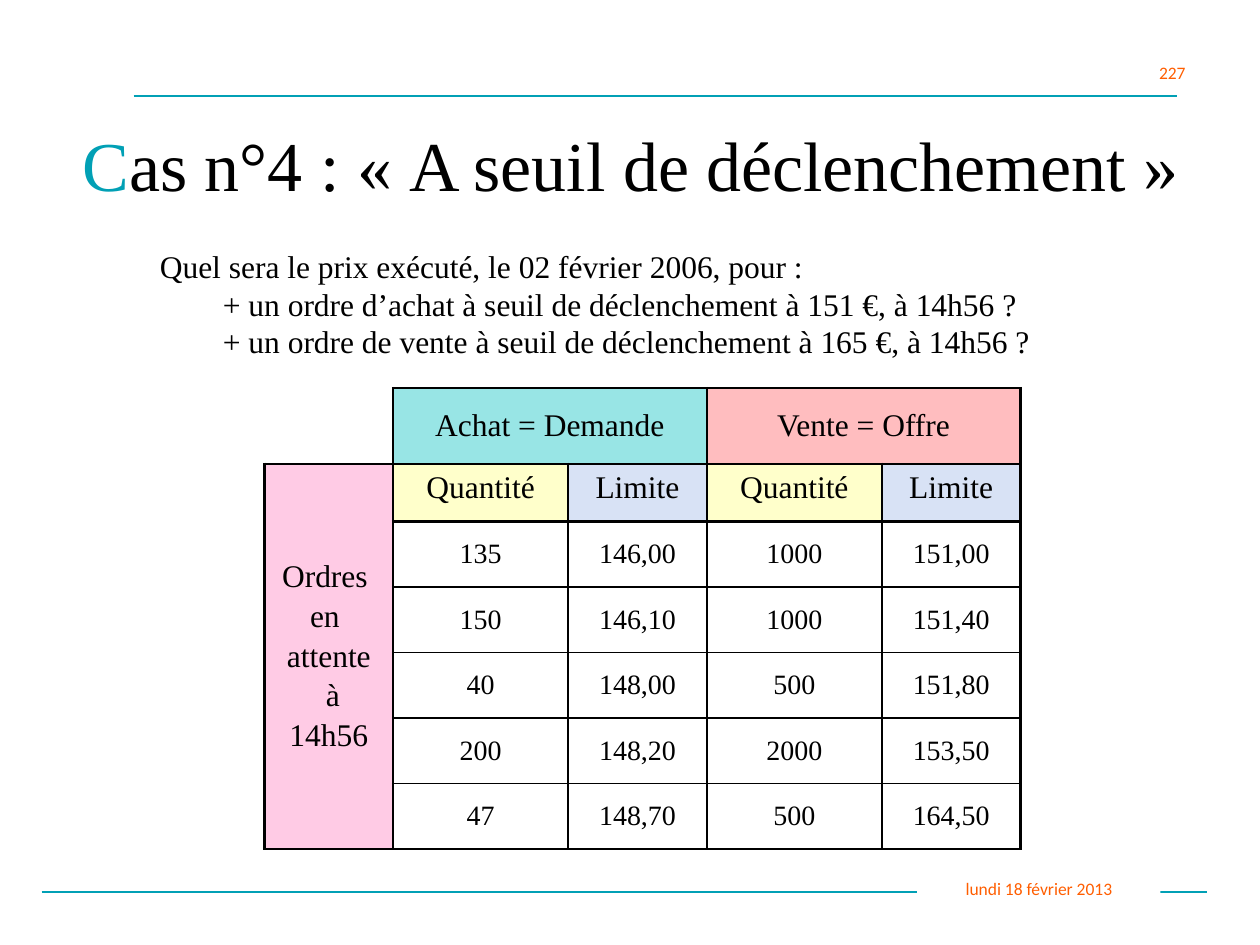
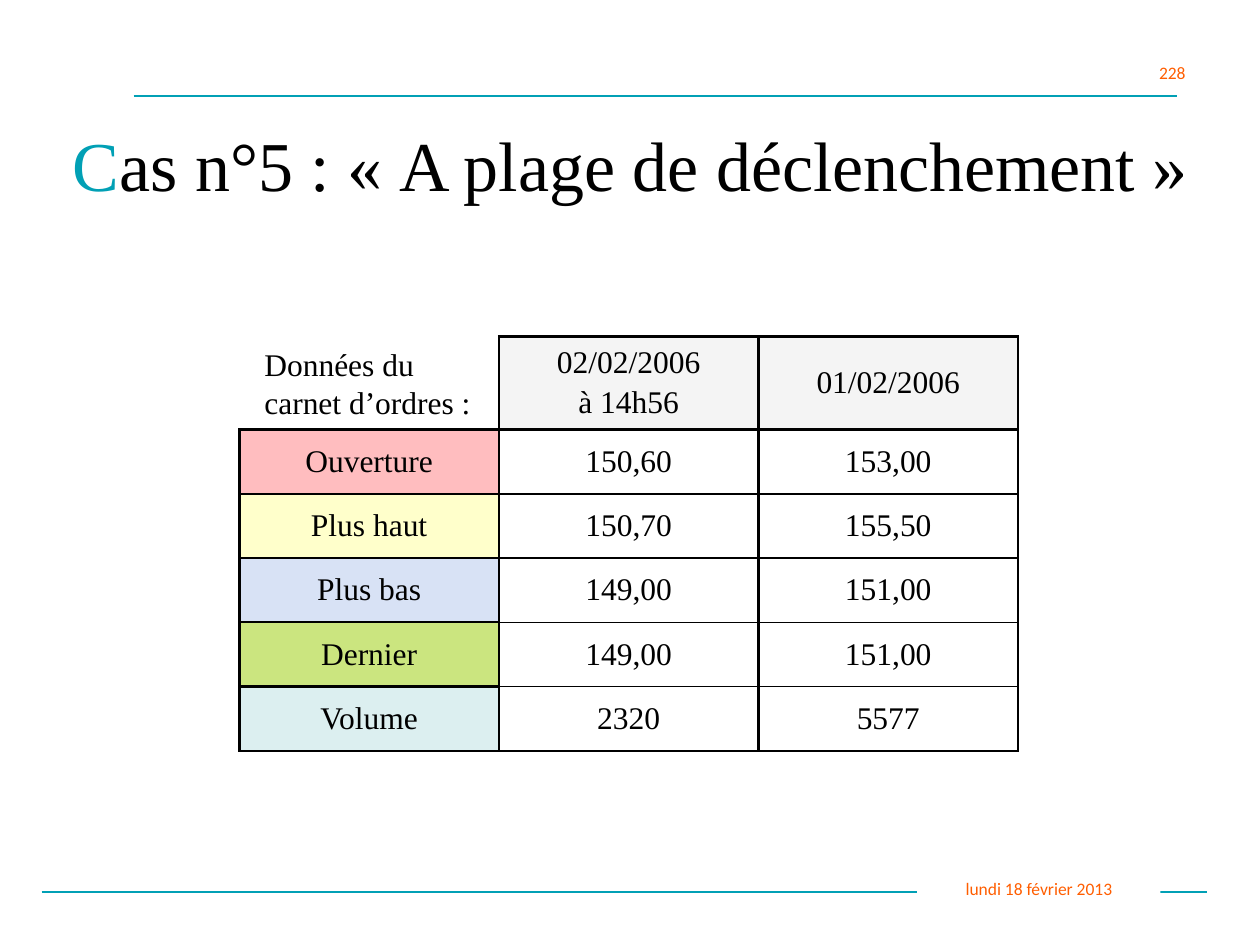
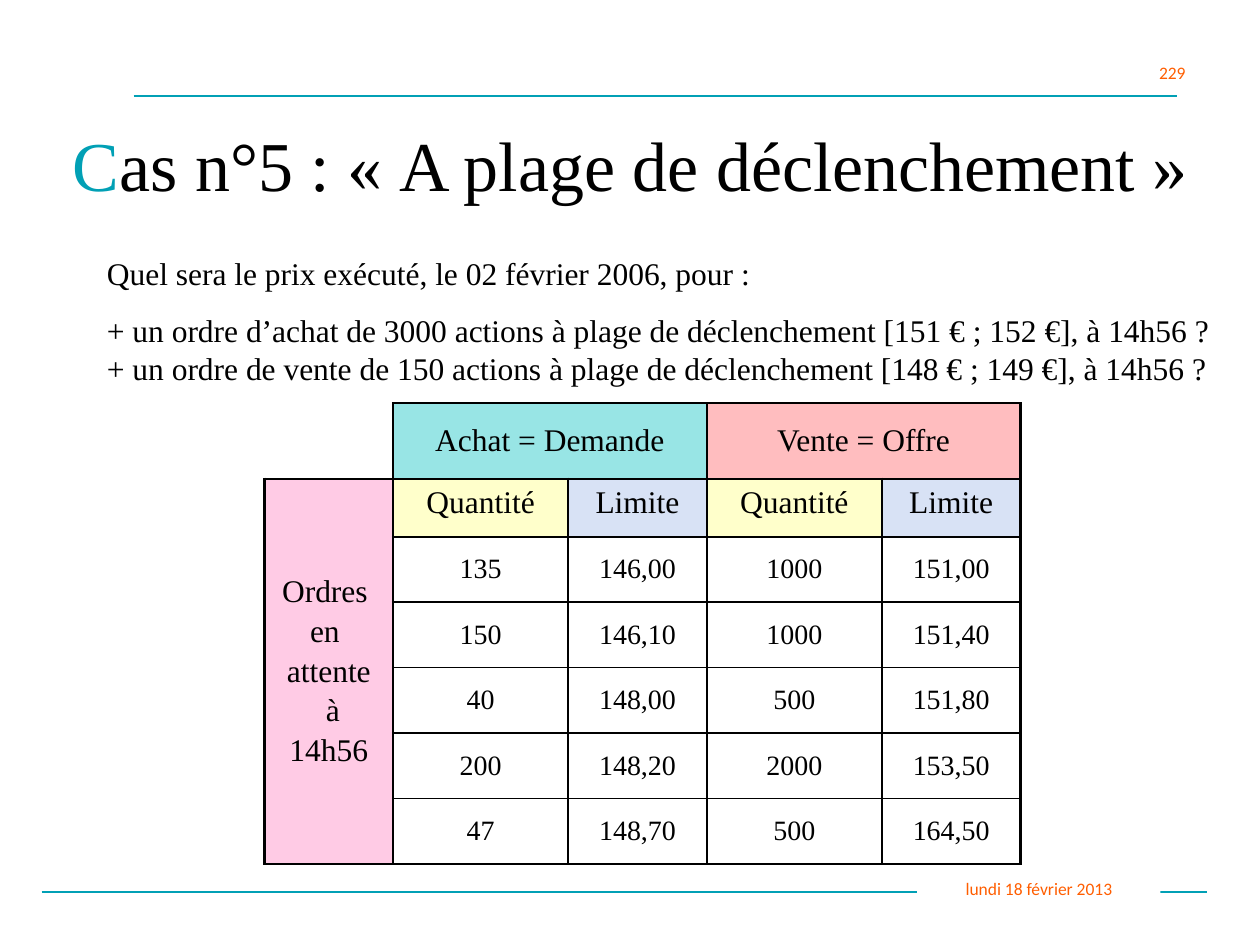
from lxml.etree import SubElement
from pptx import Presentation
from pptx.dml.color import RGBColor
from pptx.enum.shapes import MSO_CONNECTOR, MSO_SHAPE
from pptx.enum.text import MSO_ANCHOR as ANCHOR, PP_ALIGN as ALIGN
from pptx.oxml.ns import qn
from pptx.util import Emu, Pt

PX = 9144
TEAL = RGBColor(0x01, 0xA0, 0xB5)
ORANGE = RGBColor(0xFF, 0x5E, 0x00)
BLACK = RGBColor(0x00, 0x00, 0x00)
WHITE = RGBColor(0xFF, 0xFF, 0xFF)
TURQUOISE = RGBColor(0x33, 0xCC, 0xCC)
CORAL = RGBColor(0xFF, 0x7C, 0x80)
PINK = RGBColor(0xFF, 0x99, 0xCC)
YELLOW = RGBColor(0xFF, 0xFF, 0x99)
BLUE = RGBColor(0xB2, 0xC7, 0xEC)
GREY = RGBColor(0xEA, 0xEA, 0xEA)
GREEN = RGBColor(0x99, 0xCC, 0x00)
AQUA = RGBColor(0xBB, 0xE0, 0xE3)
SERIF = "Times New Roman"
SANS = "Calibri"
THICK, THIN, NONE = 1.5, 1, 0

DATE = "lundi 18 février 2013"
TRIGGER_TITLE = "Cas n°4 : «\u00a0A seuil de déclenchement\u00a0»"
RANGE_TITLE = "Cas n°5 : «\u00a0A plage de déclenchement\u00a0»"
QUESTION = "Quel sera le prix exécuté, le 02 février 2006, pour :"
TRIGGER_ORDERS = [
    "+ un ordre d’achat à seuil de déclenchement à 151 €, à 14h56 ?",
    "+ un ordre de vente à seuil de déclenchement à 165 €, à 14h56 ?",
]
RANGE_ORDERS = [
    "+ un ordre d’achat de 3000 actions à plage de déclenchement [151 € ; 152 €], à 14h56 ?",
    "+ un ordre de vente de 150 actions à plage de déclenchement [148 € ; 149 €], à 14h56 ?",
]
PENDING = ["Ordres ", "en ", "attente", " à", "14h56"]
ORDERS = [
    ("135", "146,00", "1000", "151,00"),
    ("150", "146,10", "1000", "151,40"),
    ("40", "148,00", "500", "151,80"),
    ("200", "148,20", "2000", "153,50"),
    ("47", "148,70", "500", "164,50"),
]
DAYS = [["02/02/2006", "à 14h56"], ["01/02/2006"]]
PRICES = [
    ("Ouverture", CORAL, "150,60", "153,00"),
    ("Plus haut", YELLOW, "150,70", "155,50"),
    ("Plus bas", BLUE, "149,00", "151,00"),
    ("Dernier", GREEN, "149,00", "151,00"),
    ("Volume", AQUA, "2320", "5577"),
]


def px(*lengths):
    return [Emu(length * PX) for length in lengths]


def write(frame, lines, size=18, font=SERIF, color=BLACK, align=ALIGN.LEFT,
          before=0, indents=(), initial=None):
    for index, line in enumerate(lines):
        paragraph = frame.paragraphs[0] if index == 0 else frame.add_paragraph()
        paragraph.alignment = align
        if index and before:
            paragraph.space_before = Pt(before)
        if indents:
            paragraph._p.get_or_add_pPr().set("marL", str(indents[index] * PX))
        parts = [(line[0], initial), (line[1:], color)] if initial else [(line, color)]
        for words, ink in parts:
            run = paragraph.add_run()
            run.text = words
            run.font.size = Pt(size)
            run.font.name = font
            run.font.color.rgb = ink


def add_text(slide, box, lines, wrap=True, anchor=ANCHOR.TOP, **style):
    frame = slide.shapes.add_textbox(*px(*box)).text_frame
    frame.word_wrap = wrap
    frame.vertical_anchor = anchor
    write(frame, lines, **style)
    return frame


def add_label(slide, box, text, wrap=True, anchor=ANCHOR.TOP, align=ALIGN.LEFT):
    label = slide.shapes.add_shape(MSO_SHAPE.RECTANGLE, *px(*box))
    label.shadow.inherit = False
    label.fill.solid()
    label.fill.fore_color.rgb = WHITE
    label.line.fill.background()
    label.text_frame.word_wrap = wrap
    label.text_frame.vertical_anchor = anchor
    write(label.text_frame, [text], size=10, font=SANS, color=ORANGE, align=align)


def add_rule(slide, left, right, y):
    rule = slide.shapes.add_connector(MSO_CONNECTOR.STRAIGHT, *px(left, y, right, y))
    rule.line.color.rgb = TEAL
    rule.line.width = Pt(1)
    SubElement(rule._element.spPr, qn("a:effectLst"))


def add_page(deck, number):
    slide = deck.slides.add_slide(deck.slide_layouts[6])
    add_rule(slide, 33, 958, 708)
    add_label(slide, (728, 692, 193, 27), DATE, anchor=ANCHOR.MIDDLE, align=ALIGN.CENTER)
    add_label(slide, (910, 44, 45, 27), str(number), wrap=False)
    add_rule(slide, 106, 934, 76)
    return slide


def add_title(slide, title):
    add_text(slide, (42, 67, 917, 125), [title], anchor=ANCHOR.MIDDLE,
             size=40, align=ALIGN.CENTER, initial=TEAL)


def set_borders(cell, left=THICK, right=THICK, top=THICK, bottom=THICK):
    properties = cell._tc.get_or_add_tcPr()
    for side, width in zip("LRTB", (left, right, top, bottom)):
        line = SubElement(properties, qn(f"a:ln{side}"), w=str(Pt(width)))
        if width:
            fill = SubElement(line, qn("a:solidFill"))
            SubElement(fill, qn("a:srgbClr"), val=str(BLACK))
        else:
            SubElement(line, qn("a:noFill"))


def set_tint(cell, color):
    cell.fill.solid()
    cell.fill.fore_color.rgb = color
    tint = cell._tc.tcPr.find(f"{qn('a:solidFill')}/{qn('a:srgbClr')}")
    SubElement(tint, qn("a:alpha"), val="50000")


def fill_cell(cell, lines, color=None, anchor=ANCHOR.MIDDLE, size=18):
    if color is not None:
        set_tint(cell, color)
    cell.vertical_anchor = anchor
    write(cell.text_frame, lines, size=size, align=ALIGN.CENTER, before=2.8)


def add_grid(slide, left, top, widths, heights, first_value_row):
    box = px(left, top, sum(widths), sum(heights))
    grid = slide.shapes.add_table(len(heights), len(widths), *box).table
    grid.first_row = grid.horz_banding = False
    for column, width in zip(grid.columns, widths):
        column.width = Emu(width * PX)
    for row, height in zip(grid.rows, heights):
        row.height = Emu(height * PX)
    last = len(heights) - 1
    for r in range(len(heights)):
        for c in range(len(widths)):
            cell = grid.cell(r, c)
            if r == c == 0:
                set_borders(cell, left=NONE, top=NONE)
            elif c and r >= first_value_row:
                set_borders(cell, top=THICK if r == first_value_row else THIN,
                            bottom=THICK if r == last else THIN)
            else:
                set_borders(cell)
            cell.fill.background()
    return grid


def add_order_book(slide, left, top):
    grid = add_grid(slide, left, top, [102, 139, 110, 139, 110], [60, 46] + [52] * 5, 2)
    grid.cell(1, 0).merge(grid.cell(6, 0))
    fill_cell(grid.cell(1, 0), PENDING, PINK)
    for c, side, color in ((1, "Achat = Demande", TURQUOISE), (3, "Vente = Offre", CORAL)):
        grid.cell(0, c).merge(grid.cell(0, c + 1))
        fill_cell(grid.cell(0, c), [side], color)
        fill_cell(grid.cell(1, c), ["Quantité"], YELLOW, ANCHOR.TOP)
        fill_cell(grid.cell(1, c + 1), ["Limite"], BLUE, ANCHOR.TOP)
    for r, order in enumerate(ORDERS, 2):
        for c, value in enumerate(order, 1):
            fill_cell(grid.cell(r, c), [value], size=16)


def add_price_table(slide, left, top):
    grid = add_grid(slide, left, top, [206] * 3, [71] + [51] * 5, 1)
    set_tint(grid.cell(0, 0), WHITE)
    for c, day in enumerate(DAYS, 1):
        fill_cell(grid.cell(0, c), day, GREY)
    for r, (name, color, *values) in enumerate(PRICES, 1):
        fill_cell(grid.cell(r, 0), [name], color)
        for c, value in enumerate(values, 1):
            fill_cell(grid.cell(r, c), [value])
    add_text(slide, (left + 10, top + 2, 184, 70), ["Données du", "carnet d’ordres :"], wrap=False)


def add_case_slide(deck, number, title, box, orders, indents, table_top, spacing=1):
    slide = add_page(deck, number)
    question = add_text(slide, box, [QUESTION, *orders], align=ALIGN.JUSTIFY, indents=indents)
    question.paragraphs[1].line_spacing = spacing
    add_order_book(slide, 210, table_top)
    add_title(slide, title)


def add_data_slide(deck, number, title):
    slide = add_page(deck, number)
    add_title(slide, title)
    add_price_table(slide, 190, 267)


def main():
    deck = Presentation()
    deck.slide_width, deck.slide_height = px(1000, 750)
    add_case_slide(deck, 227, TRIGGER_TITLE, (117, 191, 775, 100),
                   TRIGGER_ORDERS, (0, 50, 50), 308)
    add_data_slide(deck, 228, RANGE_TITLE)
    add_case_slide(deck, 229, RANGE_TITLE, (25, 197, 950, 115),
                   RANGE_ORDERS, (50, 50, 50), 320, spacing=1.5)
    deck.save("out.pptx")


if __name__ == "__main__":
    main()
